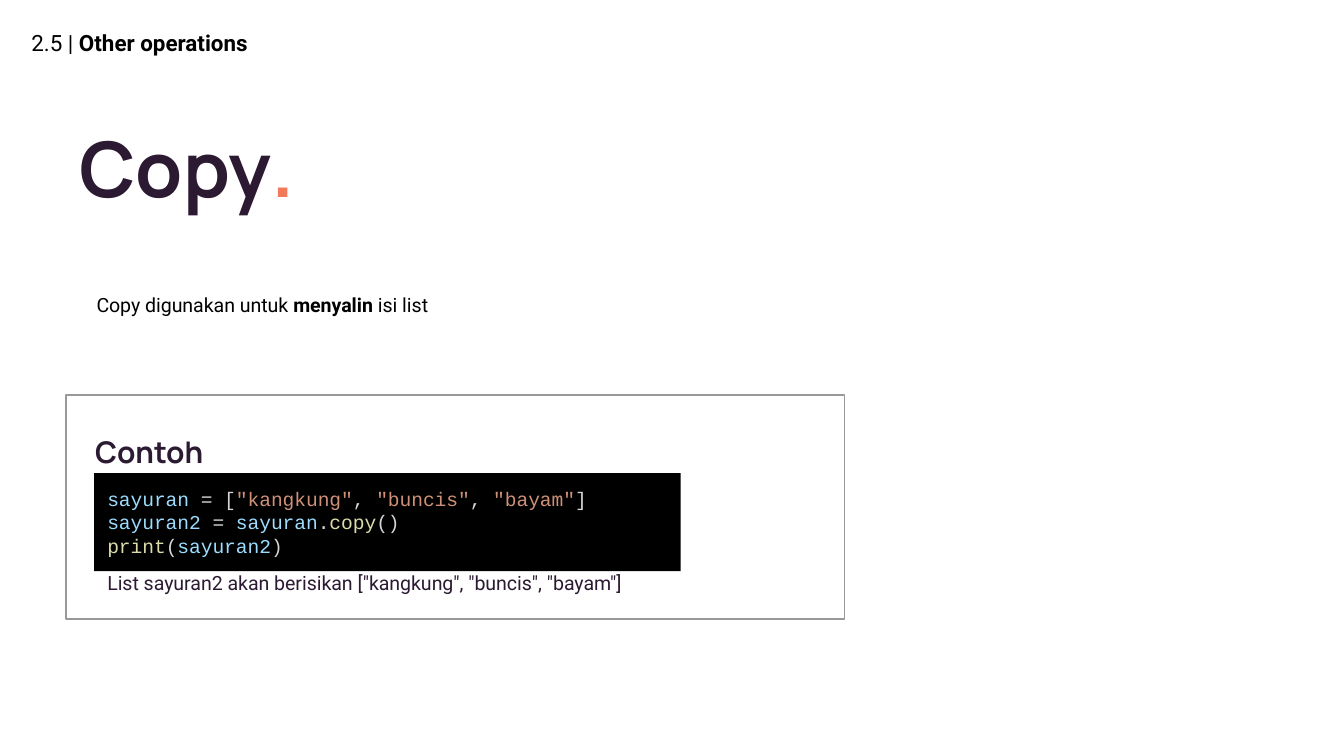
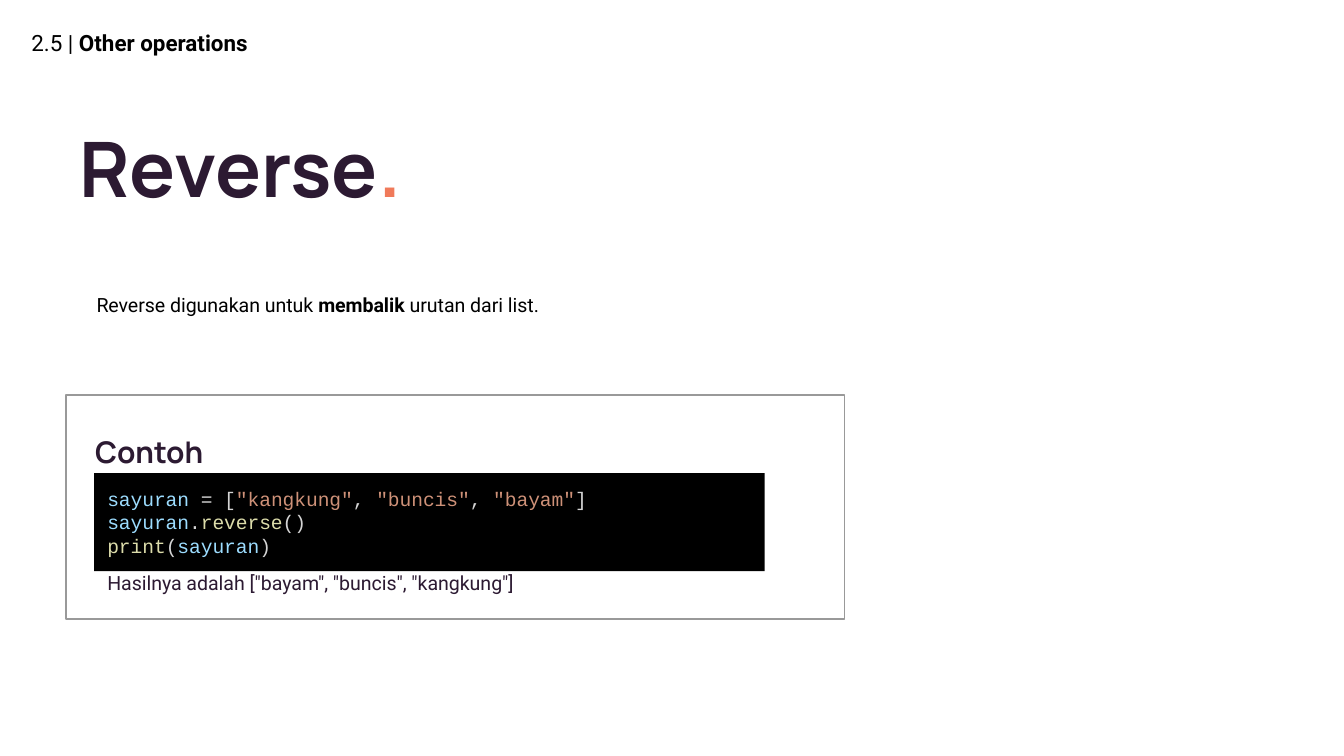
from pptx import Presentation
from pptx.dml.color import RGBColor
from pptx.enum.shapes import MSO_SHAPE
from pptx.enum.text import MSO_ANCHOR, MSO_AUTO_SIZE, PP_ALIGN
from pptx.util import Pt

RECTANGLE = MSO_SHAPE.RECTANGLE
TOP, MIDDLE = MSO_ANCHOR.TOP, MSO_ANCHOR.MIDDLE
LEFT, JUSTIFY = PP_ALIGN.LEFT, PP_ALIGN.JUSTIFY
FIXED, GROW = MSO_AUTO_SIZE.NONE, MSO_AUTO_SIZE.SHAPE_TO_FIT_TEXT

SECTION = [("2.5 |", "body"), (" Other operations", "strong")]
EXAMPLE_HEADING = "Contoh"
LIST_LINE = [
    ("sayuran", "variable"), (" = [", "symbol"),
    ('"kangkung"', "string"), (", ", "symbol"),
    ('"buncis"', "string"), (", ", "symbol"),
    ('"bayam"', "string"), ("]", "symbol"),
]
OPERATIONS = [
    {
        "name": "Copy",
        "purpose": [("Copy digunakan untuk ", "body"), ("menyalin", "strong"),
                    (" isi list", "body")],
        "code": [
            LIST_LINE,
            [("sayuran2", "variable"), (" = ", "symbol"), ("sayuran", "variable"),
             (".", "symbol"), ("copy", "function"), ("()", "symbol")],
            [("print", "function"), ("(", "symbol"), ("sayuran2", "variable"),
             (")", "symbol")],
        ],
        "code_width": 873,
        "result": 'List sayuran2 akan berisikan ["kangkung", "buncis", "bayam"]',
    },
    {
        "name": "Reverse",
        "purpose": [("Reverse digunakan untuk ", "body"), ("membalik", "strong"),
                    (" urutan dari list.", "body")],
        "code": [
            LIST_LINE,
            [("sayuran", "variable"), (".", "symbol"), ("reverse", "function"),
             ("()", "symbol")],
            [("print", "function"), ("(", "symbol"), ("sayuran", "variable"),
             (")", "symbol")],
        ],
        "code_width": 998,
        "result": 'Hasilnya adalah ["bayam", "buncis", "kangkung"]',
    },
]

PX = 4572
SLIDE_SIZE = (2000, 1125)
INSET = 20
PLACES = {
    "section": (27, 14, 912, 100),
    "title": (98, 104, 1520, 314),
    "purpose": (124, 418, 1152, 76),
    "frame": (98, 588, 1159, 333),
    "heading": (122, 623, 912, 108),
    "result": (140, 832, 998, 76),
}
CODE_LEFT, CODE_TOP, CODE_HEIGHT = 140, 704, 146

THEME = {
    "sizes": {"section": 12, "title": 41, "heading": 16, "text": 10.5},
    "frame": "999999",
    "frame_width": 0.75,
    "code_panel": "000000",
    "runs": {
        "body": ("Roboto", "000000", False),
        "strong": ("Roboto", "000000", True),
        "result": ("Roboto", "2C1A32", False),
        "display": ("Manrope", "2C1A32", True),
        "accent": ("Manrope", "F07A5A", True),
        "variable": ("Courier New", "9CDCFE", False),
        "symbol": ("Courier New", "D4D4D4", False),
        "string": ("Courier New", "CE9178", False),
        "function": ("Courier New", "DCDCAA", False),
    },
}


def scaled(place):
    return [length * PX for length in place]


def apply(target, values):
    for name, value in values.items():
        setattr(target, name, value)


def write(shape, lines, size, anchor=TOP, fit=FIXED, align=LEFT, spacing=1.0):
    frame = shape.text_frame
    margins = {f"margin_{side}": INSET * PX for side in ("left", "top", "right", "bottom")}
    apply(frame, {"word_wrap": True, "auto_size": fit, "vertical_anchor": anchor, **margins})
    for index, line in enumerate(lines):
        paragraph = frame.add_paragraph() if index else frame.paragraphs[0]
        apply(paragraph, {"alignment": align, "line_spacing": spacing})
        for text, role in line:
            font_name, color, bold = THEME["runs"][role]
            run = paragraph.add_run()
            run.text = text
            apply(run.font, {"name": font_name, "size": Pt(THEME["sizes"][size]), "bold": bold})
            run.font.color.rgb = RGBColor.from_string(color)


def add_text(slide, part, line, size, **layout):
    box = slide.shapes.add_textbox(*scaled(PLACES[part]))
    write(box, [line], size, **layout)


def add_panel(slide, place):
    panel = slide.shapes.add_shape(RECTANGLE, *scaled(place))
    panel.shadow.inherit = False
    return panel


def add_example(slide, operation):
    frame = add_panel(slide, PLACES["frame"])
    frame.fill.background()
    frame.line.color.rgb = RGBColor.from_string(THEME["frame"])
    frame.line.width = Pt(THEME["frame_width"])
    add_text(slide, "heading", [(EXAMPLE_HEADING, "display")], "heading",
             anchor=MIDDLE, spacing=0.8)
    add_text(slide, "result", [(operation["result"], "result")], "text", fit=GROW)
    code = add_panel(slide, (CODE_LEFT, CODE_TOP, operation["code_width"], CODE_HEIGHT))
    code.fill.solid()
    code.fill.fore_color.rgb = RGBColor.from_string(THEME["code_panel"])
    code.line.fill.background()
    write(code, operation["code"], "text", fit=GROW)


def add_operation(deck, operation):
    slide = deck.slides.add_slide(deck.slide_layouts[5])
    add_text(slide, "section", SECTION, "section", anchor=MIDDLE)
    title = slide.shapes.title
    apply(title, dict(zip(("left", "top", "width", "height"), scaled(PLACES["title"]))))
    write(title, [[(operation["name"], "display"), (".", "accent")]], "title",
          anchor=MIDDLE, spacing=0.8)
    add_text(slide, "purpose", operation["purpose"], "text", fit=GROW, align=JUSTIFY)
    add_example(slide, operation)


def main():
    deck = Presentation()
    deck.slide_width, deck.slide_height = scaled(SLIDE_SIZE)
    for operation in OPERATIONS:
        add_operation(deck, operation)
    deck.save("out.pptx")


if __name__ == "__main__":
    main()
